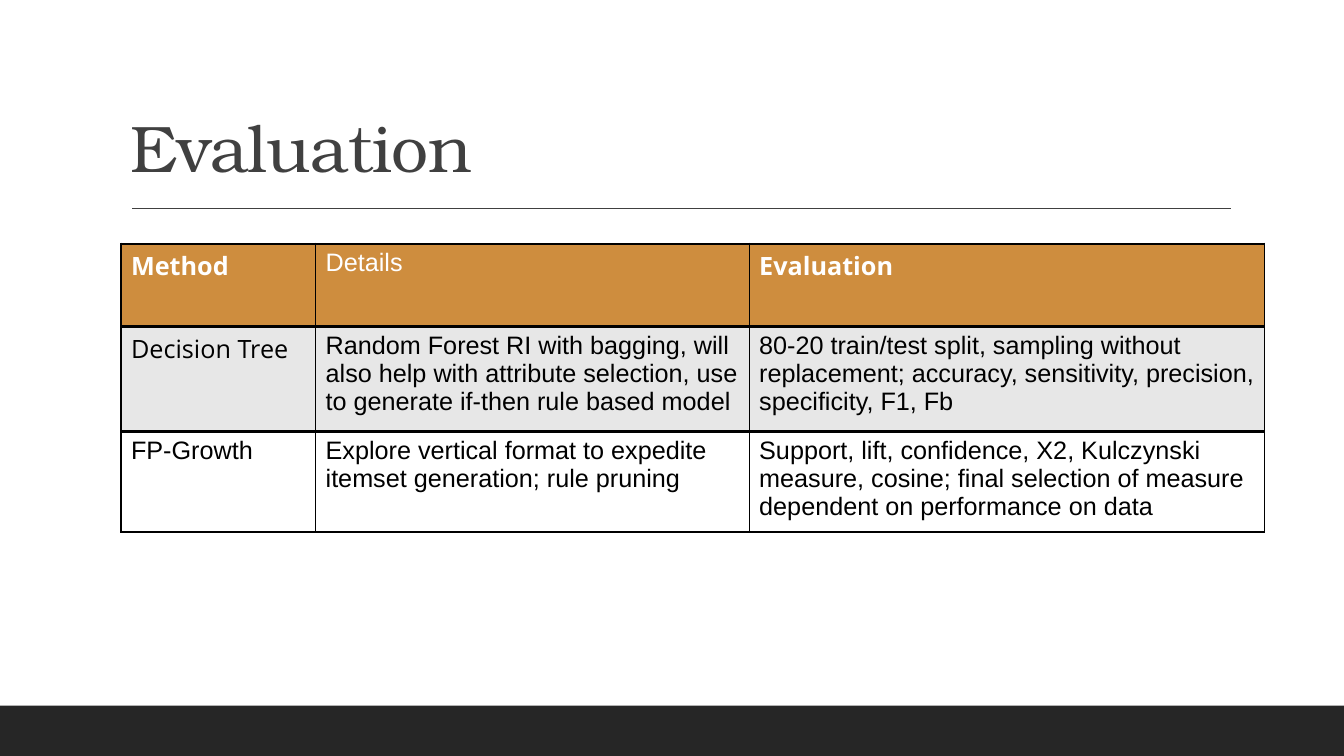
from pptx import Presentation
from pptx.dml.color import RGBColor
from pptx.enum.shapes import MSO_CONNECTOR, MSO_SHAPE
from pptx.enum.text import MSO_ANCHOR
from pptx.oxml.ns import qn
from pptx.util import Inches, Pt
from lxml.etree import SubElement

# Content: each cell is (text, font, bold)
SANS, BODY, SERIF = "Open Sans", "Arial", "TeX Gyre Bonum"
TITLE = "Evaluation"
ROWS = [
    [("Method", SANS, True), ("Details", BODY, False), ("Evaluation", SANS, True)],
    [("Decision Tree", SANS, False),
     ("Random Forest RI with bagging, will also help with attribute selection, "
      "use to generate if-then rule based model", BODY, False),
     ("80-20 train/test split, sampling without replacement; accuracy, "
      "sensitivity, precision, specificity, F1, Fb", BODY, False)],
    [("FP-Growth", BODY, False),
     ("Explore vertical format to expedite itemset generation; rule pruning",
      BODY, False),
     ("Support, lift, confidence, Χ2, Kulczynski measure, cosine; final "
      "selection of measure dependent on performance on data", BODY, False)],
]
ROW_STYLE = [("CE8D3E", "FFFFFF"), ("E7E7E7", "000000"), ("FFFFFF", "000000")]
COL_W = [1.93, 4.3, 5.11]
ROW_H = [0.82, 1.04, 0.99]
W, H = 13.33, 7.5
LEFT, TOP = 1.2, 2.42
BORDERS = {"lnL": 1, "lnR": 1, "lnT": 2, "lnB": 2}


def rgb(value):
    return RGBColor.from_string(value)


def write(tf, text, size=18, font=BODY, color="000000", bold=False,
          spacing=None, track=None):
    tf.word_wrap = True
    p = tf.paragraphs[0]
    p.line_spacing = spacing
    r = p.add_run()
    r.text = text
    r.font.size, r.font.name, r.font.bold = Pt(size), font, bold
    r.font.color.rgb = rgb(color)
    if track:
        r.font._element.set("spc", str(int(track * 100)))


def add_borders(cell):
    tcPr = cell._tc.get_or_add_tcPr()
    for i, (tag, width) in enumerate(BORDERS.items()):
        ln = tcPr.makeelement(qn("a:" + tag), {"w": str(Pt(width))})
        fill = SubElement(ln, qn("a:solidFill"))
        SubElement(fill, qn("a:srgbClr"), val="000000")
        tcPr.insert(i, ln)


prs = Presentation()
prs.slide_width, prs.slide_height = Inches(W), Inches(H)
s = prs.slides.add_slide(prs.slide_layouts[6])

# Footer band
band = s.shapes.add_shape(MSO_SHAPE.RECTANGLE, 0, Inches(H - 0.5),
                          Inches(W), Inches(0.5))
band.shadow.inherit = False
band.fill.solid()
band.fill.fore_color.rgb = rgb("262626")
band.line.fill.background()

# Title and rule
rule = s.shapes.add_connector(MSO_CONNECTOR.STRAIGHT, Inches(1.31), Inches(2.07),
                              Inches(12.21), Inches(2.07))
rule.line.color.rgb = rgb("404040")
rule.line.width = Pt(1)
SubElement(rule._element.spPr, qn("a:effectLst"))

tf = s.shapes.add_textbox(Inches(LEFT), Inches(0.31), Inches(11),
                          Inches(1.59)).text_frame
tf.vertical_anchor = MSO_ANCHOR.BOTTOM
write(tf, TITLE, size=47, font=SERIF, color="404040", spacing=0.9, track=-0.5)

# Evaluation table
table = s.shapes.add_table(len(ROW_H), len(COL_W), Inches(LEFT), Inches(TOP),
                           Inches(sum(COL_W)), Inches(sum(ROW_H))).table
for col, width in zip(table.columns, COL_W):
    col.width = Inches(width)
for row, height, cells, (fill, color) in zip(table.rows, ROW_H, ROWS, ROW_STYLE):
    row.height = Inches(height)
    for cell, (text, font, bold) in zip(row.cells, cells):
        cell.fill.solid()
        cell.fill.fore_color.rgb = rgb(fill)
        add_borders(cell)
        write(cell.text_frame, text, font=font, color=color, bold=bold)

prs.save("out.pptx")
